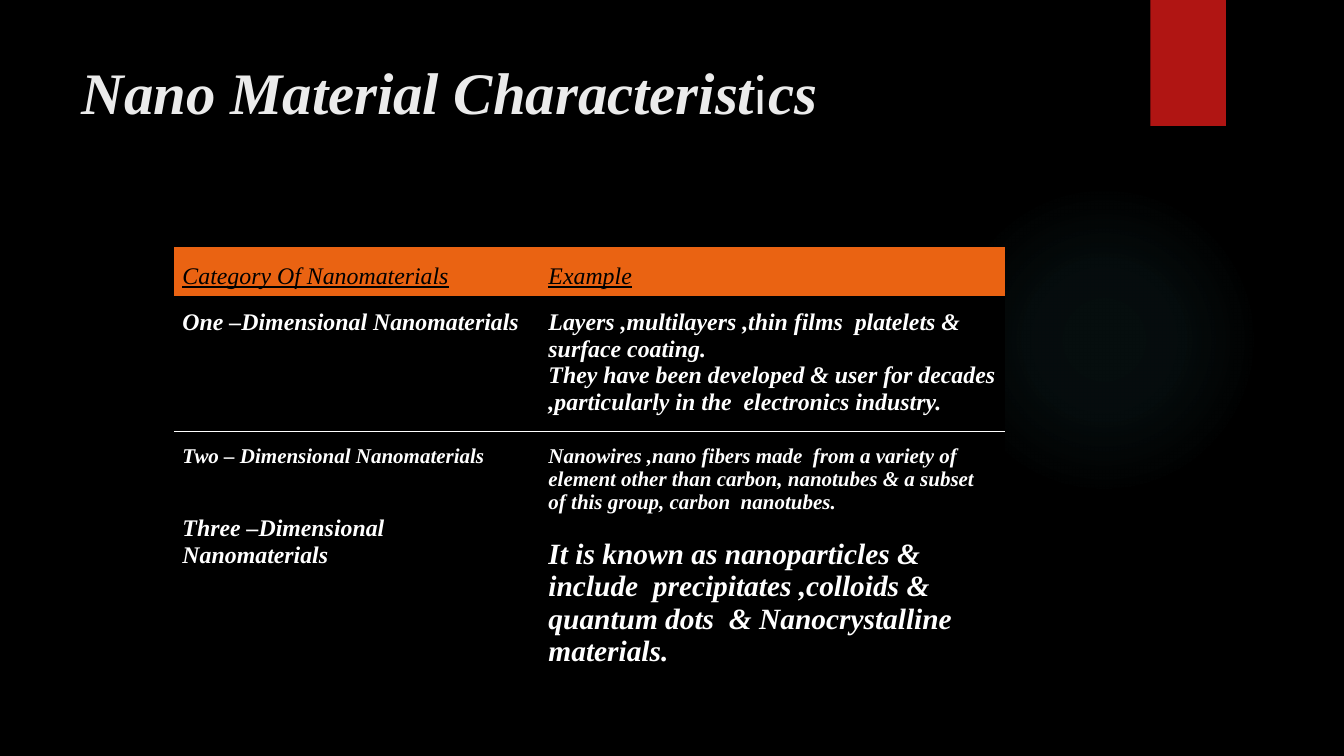
"""Build the slide on nanomaterial categories."""
import pptx
import pptx.dml.color
import pptx.enum.shapes
import pptx.enum.text
import pptx.oxml
import pptx.oxml.ns
import pptx.util
from lxml import etree

Inches = pptx.util.Inches
Pt = pptx.util.Pt
SHAPE = pptx.enum.shapes.MSO_SHAPE
ANCHOR = pptx.enum.text.MSO_ANCHOR
PLAIN = "{2D5ABB26-0587-4C30-8999-92F81FD0307C}"


def color(code):
    return pptx.dml.color.RGBColor.from_string(code)


def write(para, text, size=17, code="FFFFFF", face="Times New Roman",
          bold=True, slant=True, under=False, gap=0):
    if gap:
        para.space_before = Pt(gap)
    run = para.add_run()
    run.text = text
    font = run.font
    font.size, font.name = Pt(size), face
    font.bold, font.italic, font.underline = bold, slant, under
    font.color.rgb = color(code)


class Deck:
    def __init__(self):
        self.show = pptx.Presentation()
        self.show.slide_width = Inches(13.33)
        self.show.slide_height = Inches(7.5)
        self.slide = self.show.slides.add_slide(self.show.slide_layouts[5])
        fill = self.slide.background.fill
        fill.solid()
        fill.fore_color.rgb = color("000000")

    def shape(self, kind, *box):
        item = self.slide.shapes.add_shape(kind, *map(Inches, box))
        item.shadow.inherit = False
        item.line.fill.background()
        return item

    def block(self, code, *box):
        item = self.shape(SHAPE.RECTANGLE, *box)
        item.fill.solid()
        item.fill.fore_color.rgb = color(code)

    def glow(self, code, stops, *box):
        item = self.shape(SHAPE.OVAL, *box)
        marks = "".join(
            f'<a:gs pos="{pos * 1000}"><a:srgbClr val="{code}">'
            f'<a:alpha val="{alpha * 1000}"/></a:srgbClr></a:gs>'
            for pos, alpha in stops)
        grad = pptx.oxml.parse_xml(
            f'<a:gradFill {pptx.oxml.ns.nsdecls("a")} rotWithShape="1">'
            f'<a:gsLst>{marks}</a:gsLst><a:path path="circle">'
            '<a:fillToRect l="50000" t="50000" r="50000" b="50000"/>'
            '</a:path></a:gradFill>')
        item.element.spPr.insert(2, grad)

    def title(self, parts, *box):
        item = self.slide.shapes.title
        item.left, item.top, item.width, item.height = map(Inches, box)
        frame = item.text_frame
        frame.word_wrap = True
        frame.vertical_anchor = ANCHOR.TOP
        para = frame.paragraphs[0]
        para.alignment = pptx.enum.text.PP_ALIGN.LEFT
        for text, style in parts:
            write(para, text, size=42, code="EBEBEB", **style)

    def edge(self, cell, side):
        line = pptx.oxml.parse_xml(
            f'<a:{side} {pptx.oxml.ns.nsdecls("a")} w="9525"><a:solidFill>'
            f'<a:srgbClr val="FFFFFF"/></a:solidFill></a:{side}>')
        cell._tc.get_or_add_tcPr().insert(0, line)

    def table(self, rows, wide, high, left, top):
        frame = self.slide.shapes.add_table(
            len(high), len(wide), Inches(left), Inches(top),
            Inches(sum(wide)), Inches(sum(high)))
        for node in frame.element.iter(pptx.oxml.ns.qn("a:tableStyleId")):
            node.text = PLAIN
        grid = frame.table
        grid.horz_banding = False
        for col, size in zip(grid.columns, wide):
            col.width = Inches(size)
        for row, size in zip(grid.rows, high):
            row.height = Inches(size)
        for i, row in enumerate(rows):
            for j, paras in enumerate(row):
                self.cell(grid.cell(i, j), paras, i)

    def cell(self, cell, paras, row):
        cell.margin_left = cell.margin_right = Inches(0.08)
        cell.margin_top, cell.margin_bottom = Inches(0.13), Inches(0.04)
        cell.vertical_anchor = ANCHOR.TOP if row else ANCHOR.MIDDLE
        cell.fill.solid()
        cell.fill.fore_color.rgb = color("000000" if row else "EA6312")
        if row:
            self.edge(cell, "lnB" if row == 1 else "lnT")
        frame = cell.text_frame
        for k, (text, style) in enumerate(paras):
            para = frame.add_paragraph() if k else frame.paragraphs[0]
            write(para, text, **style)


def main():
    deck = Deck()
    deck.glow("50B9C1", [(0, 7), (36, 6), (69, 0)], 9.41, 1.83, 3.08, 3.08)
    deck.block("B01513", 11.41, 0, 0.75, 1.25)
    thin = dict(face="League Spartan", bold=False, slant=False)
    deck.title([("Nano Material Characterist", {}), ("i", thin), ("cs", {})],
               0.71, 0.5, 10.29, 1.53)
    head = dict(code="000000", bold=False, under=True)
    rows = [
        [[("Category Of Nanomaterials", head)], [("Example", head)]],
        [[("One –Dimensional Nanomaterials", {})],
         [("Layers ,multilayers ,thin films\u00a0 platelets & surface coating.", {}),
          ("They have been developed & user for decades ,particularly in "
           "the\u00a0 electronics industry.", {})]],
        [[("Two – Dimensional Nanomaterials", dict(size=15)),
          ("Three –Dimensional\u00a0", dict(gap=34)),
          ("Nanomaterials", {})],
         [("Nanowires ,nano fibers\u00a0made\u00a0 from a variety of element other "
           "than carbon, nanotubes & a subset of this group, "
           "carbon\u00a0 nanotubes.", dict(size=15)),
          ("It is known as nanoparticles & include\u00a0 precipitates ,colloids & "
           "quantum dots\u00a0 & Nanocrystalline materials.",
           dict(size=21, gap=17))]],
    ]
    deck.table(rows, [3.63, 4.61], [0.49, 1.34, 2.6], 1.73, 2.45)
    deck.show.save("out.pptx")


if __name__ == "__main__":
    main()
